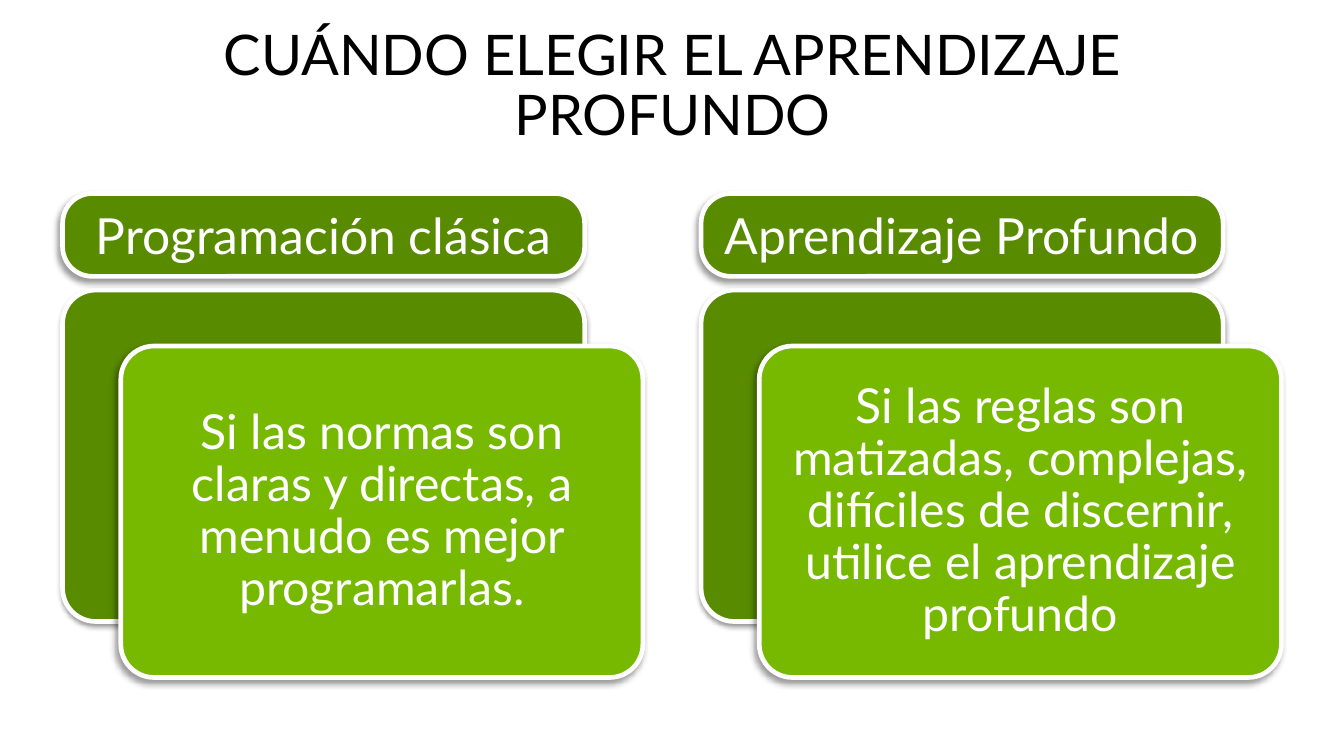
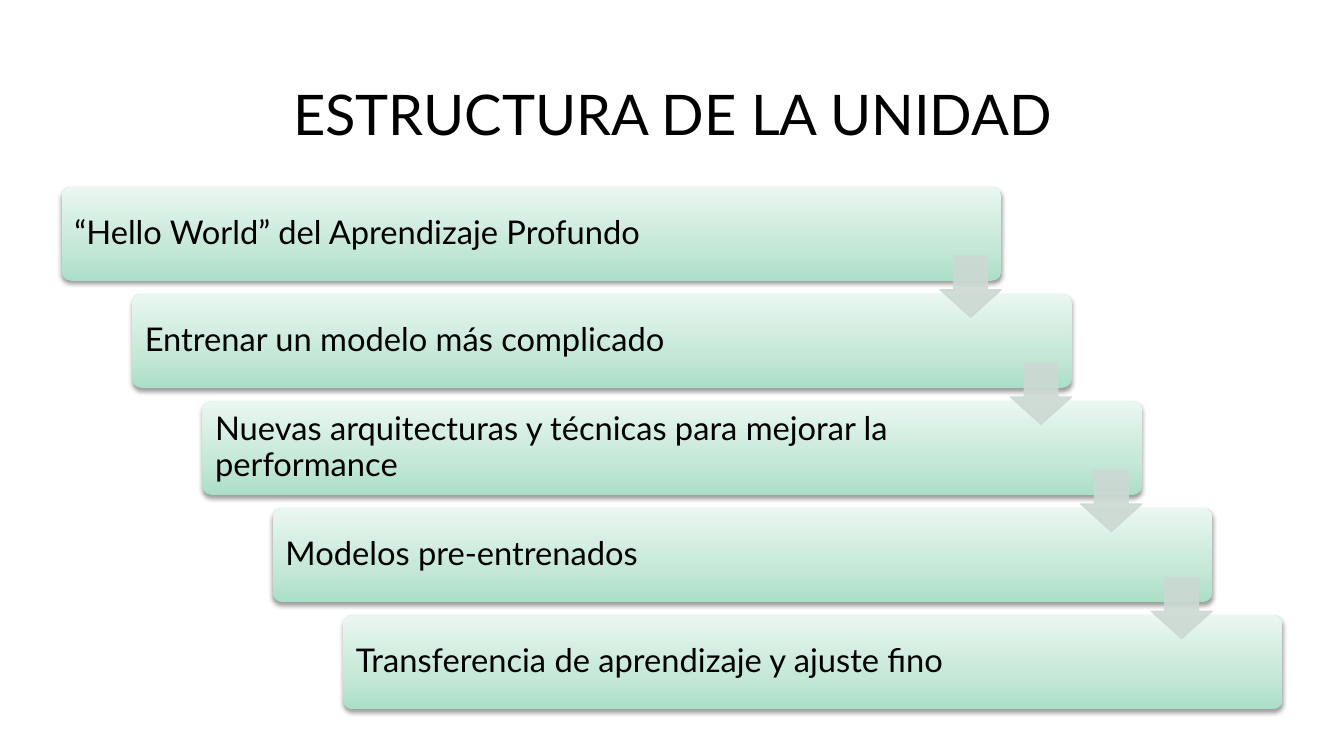
from copy import deepcopy
from typing import NamedTuple

from lxml.etree import SubElement
from pptx import Presentation
from pptx.dml.color import RGBColor
from pptx.enum.shapes import MSO_SHAPE
from pptx.enum.text import MSO_ANCHOR, MSO_AUTO_SIZE, PP_ALIGN
from pptx.oxml.ns import qn
from pptx.util import Cm, Pt

FONT = "Lato"
COLOURS = {
    "text": "000000",
    "shadow": "000000",
    "white": "FFFFFF",
    "dark green": "598B00",
    "green": "76B900",
    "arrow": "CCD9D3",
}
STEP_GRADIENT = [(0, "ABDFC7"), (0.35, "C5E8D7"), (1, "E9F7F0")]


class Box(NamedTuple):
    """Left, top, width and height in centimetres."""
    left: float
    top: float
    width: float
    height: float

    def emu(self):
        return [Cm(length) for length in self]


class Shadow(NamedTuple):
    """Opacity in percent, blur and distance in points, direction in degrees."""
    opacity: int
    blur: float
    distance: float
    direction: int


SOFT_SHADOW = Shadow(38, 3.1, 1.6, 90)
DEEP_SHADOW = Shadow(40, 4, 3, 135)

TITLE_BOX = Box(1.4, 1.83, 27.71, 1.65)
COLUMNS = [
    ("Programación clásica",
     "Si las normas son claras y directas, a menudo es mejor programarlas."),
    ("Aprendizaje Profundo",
     "Si las reglas son matizadas, complejas, difíciles de discernir, "
     "utilice el aprendizaje profundo"),
]
STEPS = [
    "“Hello World” del Aprendizaje Profundo",
    "Entrenar un modelo más complicado",
    "Nuevas arquitecturas y técnicas para mejorar la performance",
    "Modelos pre-entrenados",
    "Transferencia de aprendizaje y ajuste fino",
]


def rgb(name):
    return RGBColor.from_string(COLOURS[name])


def write(frame, text, size, colour, align=PP_ALIGN.CENTER,
          anchor=MSO_ANCHOR.MIDDLE, spacing=0.9, inset=None):
    frame.word_wrap = True
    frame.auto_size = MSO_AUTO_SIZE.NONE
    frame.vertical_anchor = anchor
    if inset is not None:
        frame.margin_left = frame.margin_right = Cm(inset)
        frame.margin_top = frame.margin_bottom = Cm(inset)
    paragraph = frame.paragraphs[0]
    paragraph.alignment = align
    paragraph.line_spacing = spacing
    run = paragraph.add_run()
    run.text = text
    run.font.name = FONT
    run.font.size = Pt(size)
    run.font.color.rgb = rgb(colour)


def set_alpha(colour_element, percent):
    SubElement(colour_element, qn("a:alpha"), val=str(percent * 1000))


def add_shadow(shape, shadow):
    effects = shape._element.spPr.find(qn("a:effectLst"))
    outer = SubElement(
        effects, qn("a:outerShdw"),
        blurRad=str(Pt(shadow.blur)), dist=str(Pt(shadow.distance)),
        dir=str(shadow.direction * 60000), algn="ctr", rotWithShape="0")
    colour = SubElement(outer, qn("a:srgbClr"), val=COLOURS["shadow"])
    set_alpha(colour, shadow.opacity)


def add_rounded(slide, box, corner, shadow):
    shape = slide.shapes.add_shape(MSO_SHAPE.ROUNDED_RECTANGLE, *box.emu())
    shape.adjustments[0] = corner
    shape.shadow.inherit = False
    add_shadow(shape, shadow)
    return shape


def add_panel(slide, box, colour, corner, shadow):
    panel = add_rounded(slide, box, corner, shadow)
    panel.fill.solid()
    panel.fill.fore_color.rgb = rgb(colour)
    panel.line.color.rgb = rgb("white")
    panel.line.width = Pt(3)
    return panel


def fill_step(step):
    """Apply the three-stop gradient, darkest at the bottom."""
    step.fill.gradient()
    step.fill.gradient_angle = 90
    stop_list = step._element.spPr.find(".//" + qn("a:gsLst"))
    stop_list.append(deepcopy(stop_list[-1]))
    for stop, (position, colour) in zip(step.fill.gradient_stops, STEP_GRADIENT):
        stop.position = position
        stop.color.rgb = RGBColor.from_string(colour)


def add_titled_slide(deck, title):
    slide = deck.slides.add_slide(deck.slide_layouts[5])
    heading = slide.shapes.title
    heading.left, heading.top, heading.width, heading.height = TITLE_BOX.emu()
    write(heading.text_frame, title, 36, "text", anchor=MSO_ANCHOR.BOTTOM)
    return slide


def add_column(slide, box, heading, advice):
    """Place a heading above two overlapping cards."""
    shift_x, shift_y = 1.32, 1.27
    width = box.width - shift_x
    header = Box(box.left, box.top, width, 1.88)
    back_top = box.top + 2.19
    back = Box(box.left, back_top, width, box.top + box.height - shift_y - back_top)
    front = back._replace(left=back.left + shift_x, top=back.top + shift_y)
    advice_area = Box(front.left + 0.22, front.top + 0.22,
                      front.width - 0.44, front.height - 0.44)

    add_panel(slide, back, "dark green", 0.1, SOFT_SHADOW)
    add_panel(slide, front, "green", 0.1, DEEP_SHADOW)
    advice_text = slide.shapes.add_textbox(*advice_area.emu())
    write(advice_text.text_frame, advice, 31, "white", inset=0.33)
    header_panel = add_panel(slide, header, "dark green", 0.358, DEEP_SHADOW)
    write(header_panel.text_frame, heading, 32, "white", spacing=1)


def add_step(slide, box, text, text_width):
    step = add_rounded(slide, box, 0.1, SOFT_SHADOW)
    fill_step(step)
    step.line.fill.background()
    label_area = Box(box.left + 0.06, box.top + 0.06, text_width, box.height - 0.12)
    label = slide.shapes.add_textbox(*label_area.emu())
    write(label.text_frame, text, 21, "text", align=PP_ALIGN.LEFT, inset=0.23)


def add_step_arrow(slide, step_box):
    """Place the arrow that leads down from the right end of a step."""
    size = 1.39
    box = Box(step_box.left + step_box.width - size, step_box.top + 1.57, size, size)
    arrow = slide.shapes.add_shape(MSO_SHAPE.DOWN_ARROW, *box.emu())
    # Shaft width first, head length second
    arrow.adjustments[0], arrow.adjustments[1] = 0.55, 0.45
    arrow.shadow.inherit = False
    arrow.fill.solid()
    arrow.fill.fore_color.rgb = rgb("arrow")
    arrow.line.color.rgb = rgb("arrow")
    arrow.line.width = Pt(0.75)
    for colour in arrow._element.spPr.iter(qn("a:srgbClr")):
        set_alpha(colour, 90)


def add_staircase(slide, box, steps):
    step_width, step_height = 21.31, 2.13
    gaps = len(steps) - 1
    shift_x = (box.width - step_width) / gaps
    shift_y = (box.height - step_height) / gaps
    step_boxes = [
        Box(box.left + i * shift_x, box.top + i * shift_y, step_width, step_height)
        for i in range(len(steps))
    ]
    for i, (step_box, text) in enumerate(zip(step_boxes, steps)):
        add_step(slide, step_box, text, 18.21 if i else 18.75)
    for step_box in step_boxes[:-1]:
        add_step_arrow(slide, step_box)


def build_comparison(deck):
    slide = add_titled_slide(deck, "CUÁNDO ELEGIR EL APRENDIZAJE PROFUNDO")
    for i, (heading, advice) in enumerate(COLUMNS):
        add_column(slide, Box(1.42 + i * 14.48, 4.39, 13.16, 10.98), heading, advice)


def build_structure(deck):
    slide = add_titled_slide(deck, "ESTRUCTURA DE LA UNIDAD")
    add_staircase(slide, Box(1.4, 4.24, 27.69, 11.85), STEPS)


def main():
    deck = Presentation()
    deck.slide_width, deck.slide_height = Cm(30.48), Cm(17.15)
    build_comparison(deck)
    build_structure(deck)
    deck.save("out.pptx")


if __name__ == "__main__":
    main()
